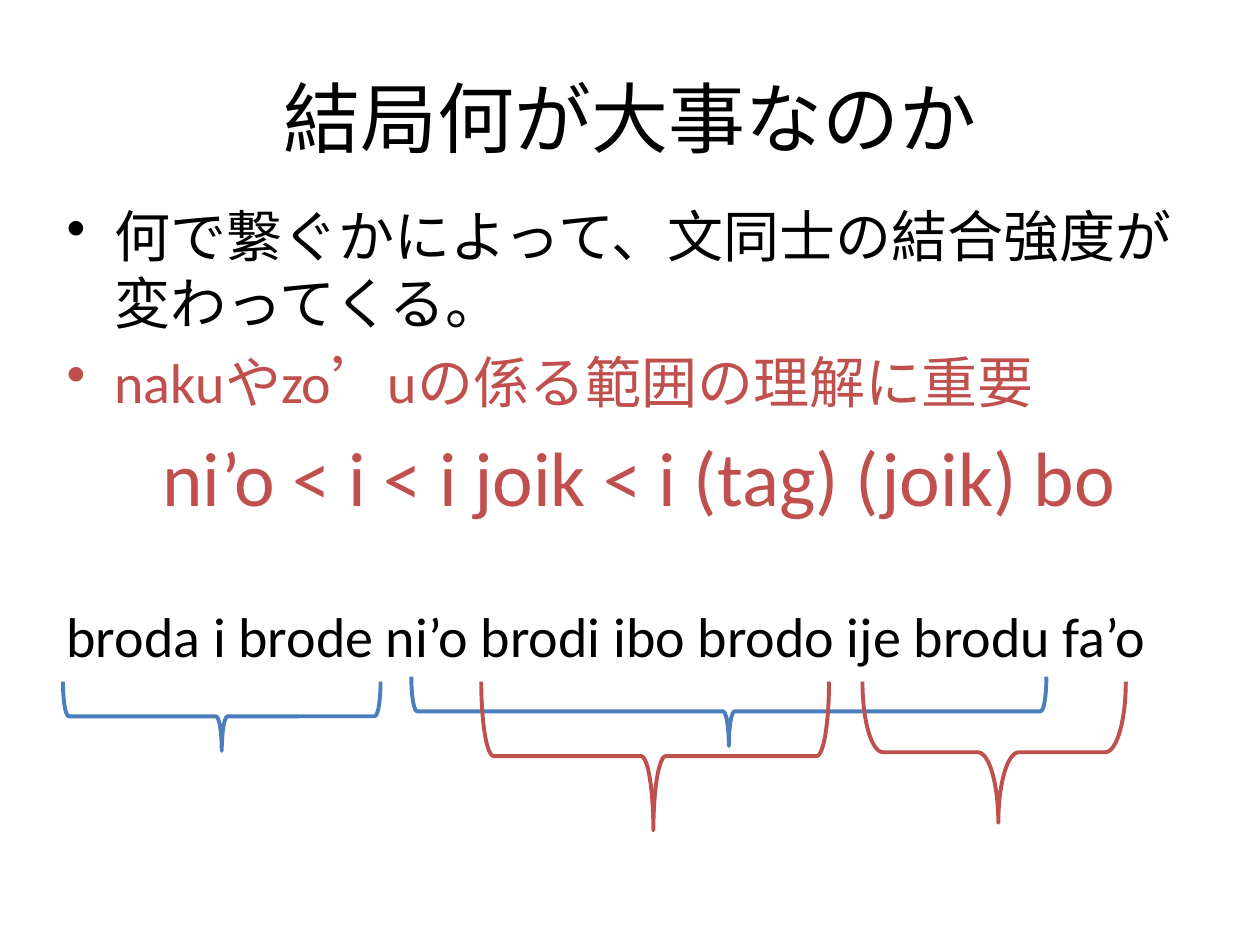
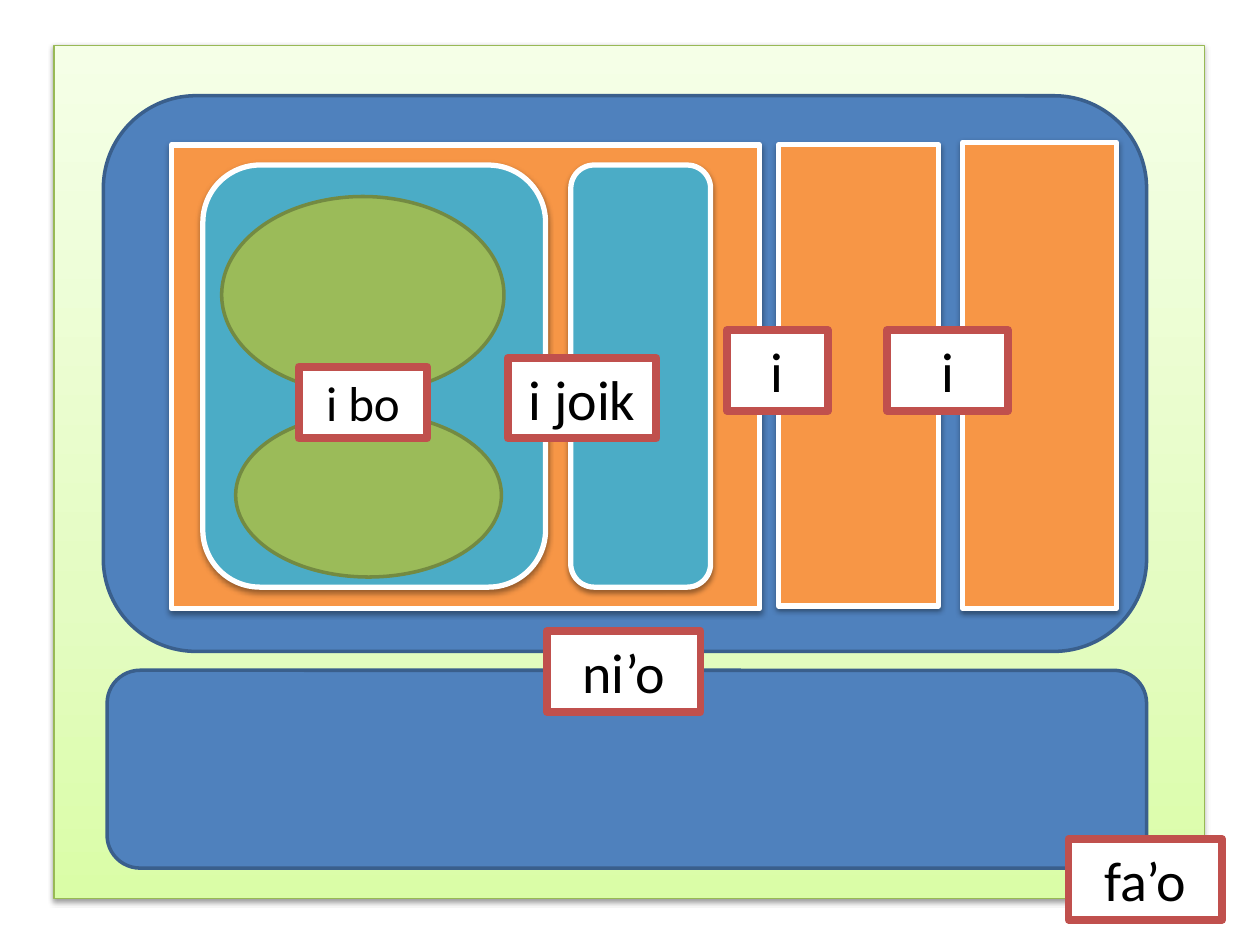
from dataclasses import dataclass

from pptx import Presentation
from pptx.dml.color import RGBColor
from pptx.enum.shapes import MSO_SHAPE as Shape
from pptx.enum.text import MSO_ANCHOR as Anchor, MSO_AUTO_SIZE as AutoSize, PP_ALIGN as Align
from pptx.oxml import parse_xml
from pptx.oxml.ns import nsdecls
from pptx.util import Inches, Pt

CELL = 0.1  # the page is a grid of 100 columns by 75 rows


@dataclass(frozen=True)
class Theme:
    font: str = "Calibri"
    ink: str = "000000"
    paper: str = "FFFFFF"
    red: str = "C0504D"
    blue: str = "4F81BD"
    blue_edge: str = "3A5F8C"
    blue_brace: str = "4B7EBC"
    orange: str = "F79646"
    teal: str = "4BACC6"
    green: str = "9BBB59"
    green_edge: str = "738A42"
    lime_edge: str = "98B955"
    lime_stops: tuple = ((0, "DAFDA7"), (35, "E4FCC2"), (100, "F5FFE7"))
    heading: int = 44
    body: int = 32
    small: int = 28


THEME = Theme()


@dataclass(frozen=True)
class Box:
    """A region in columns and rows of the page grid."""
    left: float
    top: float
    width: float
    height: float

    def within(self, left, top, width, height):
        return Box(self.left + left, self.top + top, width, height)

    def upright(self):
        """The frame that covers this box after a quarter turn."""
        shift = (self.width - self.height) / 2
        return Box(self.left + shift, self.top - shift, self.height, self.width)

    def lengths(self):
        return [Inches(round(n * CELL, 3))
                for n in (self.left, self.top, self.width, self.height)]


PAGE = Box(0, 0, 100, 75)


def assign(target, values):
    for name, value in values.items():
        setattr(target, name, value)


def write(paragraph, text, size, color=THEME.ink, **layout):
    run = paragraph.add_run()
    run.text = text
    assign(run.font, {"name": THEME.font, "size": Pt(size)})
    run.font.color.rgb = RGBColor.from_string(color)
    assign(paragraph, layout)


def bullet(paragraph, indent=0.38):
    props = paragraph._p.get_or_add_pPr()
    props.set("marL", str(Inches(indent)))
    props.set("indent", str(-Inches(indent)))
    props.append(parse_xml(f'<a:buChar {nsdecls("a")} char="•"/>'))


def draw(slide, kind, box, edge, weight, fill=None, shadow=False):
    shape = slide.shapes.add_shape(kind, *box.lengths())
    shape.shadow.inherit = False
    shape.line.color.rgb = RGBColor.from_string(edge)
    shape.line.width = Pt(weight)
    if fill:
        shape.fill.solid()
        shape.fill.fore_color.rgb = RGBColor.from_string(fill)
    else:
        shape.fill.background()
    if shadow:
        effects = shape._element.spPr.find("{*}effectLst")
        effects.append(parse_xml(
            f'<a:outerShdw {nsdecls("a")} blurRad="40000" dist="20000" dir="5400000" '
            'rotWithShape="0"><a:srgbClr val="000000"><a:alpha val="38000"/>'
            '</a:srgbClr></a:outerShdw>'))
    return shape


def shade_upwards(shape, stops):
    marks = "".join(f'<a:gs pos="{share * 1000}"><a:srgbClr val="{color}"/></a:gs>'
                    for share, color in stops)
    props = shape._element.spPr
    props.replace(props.find("{*}noFill"), parse_xml(
        f'<a:gradFill {nsdecls("a")} rotWithShape="1"><a:gsLst>{marks}</a:gsLst>'
        '<a:lin ang="16200000" scaled="0"/></a:gradFill>'))


def text_area(slide, box, anchor):
    frame = slide.shapes.add_textbox(*box.lengths()).text_frame
    assign(frame, {"word_wrap": True, "vertical_anchor": anchor})
    return frame


# Slide 1: title, key points and the bracketed example

def title(slide, box, text):
    frame = text_area(slide, box, Anchor.MIDDLE)
    write(frame.paragraphs[0], text, THEME.heading, alignment=Align.CENTER)


def key_points(slide, box):
    frame = text_area(slide, box, Anchor.TOP)
    gap = Pt(THEME.body * 0.2)
    blank_line = Pt(THEME.body * 1.22)

    # Bulleted statements
    first, scope = frame.paragraphs[0], frame.add_paragraph()
    write(first, "何で繋ぐかによって、文同士の結合強度が変わってくる。",
          THEME.body, space_before=gap)
    write(scope, "nakuやzo’uの係る範囲の理解に重要",
          THEME.body, THEME.red, space_before=gap)
    for point in (first, scope):
        bullet(point)

    # Order of strength, then the example sentence
    write(frame.add_paragraph(), "ni’o < i < i joik < i (tag) (joik) bo",
          THEME.heading, THEME.red, alignment=Align.CENTER,
          space_before=Pt(THEME.heading * 0.2))
    write(frame.add_paragraph(), "broda i brode ni’o brodi ibo brodo ije brodu fa’o",
          THEME.body, space_before=gap + blank_line)


def braces(slide, box):
    for place, color, curl, tip in (
            ((27.65, 0, 50.4, 5.5), THEME.blue_brace, 0.083, 0.5),
            ((0, 0.4, 25.2, 5.5), THEME.blue_brace, 0.083, 0.5),
            ((33.2, 0.4, 27.6, 11.8), THEME.red, 0.083, 0.495),
            ((63.45, 0.4, 20.9, 11.2), THEME.red, 0.145, 0.516)):
        brace = draw(slide, Shape.LEFT_BRACE, box.within(*place).upright(), color, 2.25)
        brace.rotation = 270
        brace.adjustments[0], brace.adjustments[1] = curl, tip


def summary_slide(slide, page):
    title(slide, page.within(5, 3, 90, 12.5), "結局何が大事なのか")
    key_points(slide, page.within(4.3, 15.5, 92.9, 55.1))
    braces(slide, page.within(5, 53.7, 84.4, 12.2))


# Slide 2: nested units of a text, each joined by a labelled connective

def connective(slide, box, text, size=THEME.body):
    label = draw(slide, Shape.RECTANGLE, box, THEME.red, 4.5, THEME.paper)
    assign(label.text_frame, {"word_wrap": True, "vertical_anchor": Anchor.TOP,
                              "auto_size": AutoSize.SHAPE_TO_FIT_TEXT})
    write(label.text_frame.paragraphs[0], text, size, alignment=Align.CENTER)


def bridi_pair(slide, box):
    for place in ((1.5, 2.5, 22.4, 15.6), (2.6, 19.7, 21.1, 13)):
        draw(slide, Shape.OVAL, box.within(*place), THEME.green_edge, 2, THEME.green)


def joined_clauses(slide, box):
    clauses = [box.within(left, 1.6, width, 33.5)
               for left, width in ((2.5, 27.2), (31.7, 11.1))]
    for clause in clauses:
        draw(slide, Shape.ROUNDED_RECTANGLE, clause, THEME.paper, 3, THEME.teal, shadow=True)
    bridi_pair(slide, clauses[0])


def sentences(slide, box):
    row = [box.within(*place) for place in (
        (5.4, 3.9, 46.7, 36.8), (53.6, 3.9, 12.7, 36.6), (68.2, 3.7, 12.2, 37))]
    for sentence in row:
        draw(slide, Shape.RECTANGLE, sentence, THEME.paper, 3, THEME.orange, shadow=True)
    joined_clauses(slide, row[0])


def nesting_slide(slide, page):
    # Whole text
    whole = page.within(4.3, 3.6, 91.3, 67.7)
    ground = draw(slide, Shape.RECTANGLE, whole, THEME.lime_edge, 0.75, shadow=True)
    shade_upwards(ground, THEME.lime_stops)

    # Paragraphs and what the upper one holds
    upper = whole.within(3.9, 4, 82.8, 44.1)
    lower = whole.within(4.2, 49.6, 82.5, 15.7)
    for passage in (upper, lower):
        draw(slide, Shape.ROUNDED_RECTANGLE, passage, THEME.blue_edge, 2, THEME.blue)
    sentences(slide, upper)

    # Connectives lie over the seams
    for text, left, top, width in (
            ("ni’o", 39.1, 46.5, 12.2), ("i", 53.4, 22.6, 8), ("i", 66.1, 22.6, 9.6),
            ("i joik", 36, 24.8, 11.8), ("fa’o", 80.5, 63, 12.2)):
        connective(slide, whole.within(left, top, width, 6.4), text)
    connective(slide, whole.within(19.4, 25.5, 10.2, 5.7), "i bo", THEME.small)


deck = Presentation()
assign(deck, {"slide_width": Inches(PAGE.width * CELL),
              "slide_height": Inches(PAGE.height * CELL)})
for build in (summary_slide, nesting_slide):
    build(deck.slides.add_slide(deck.slide_layouts[6]), PAGE)
deck.save("out.pptx")
